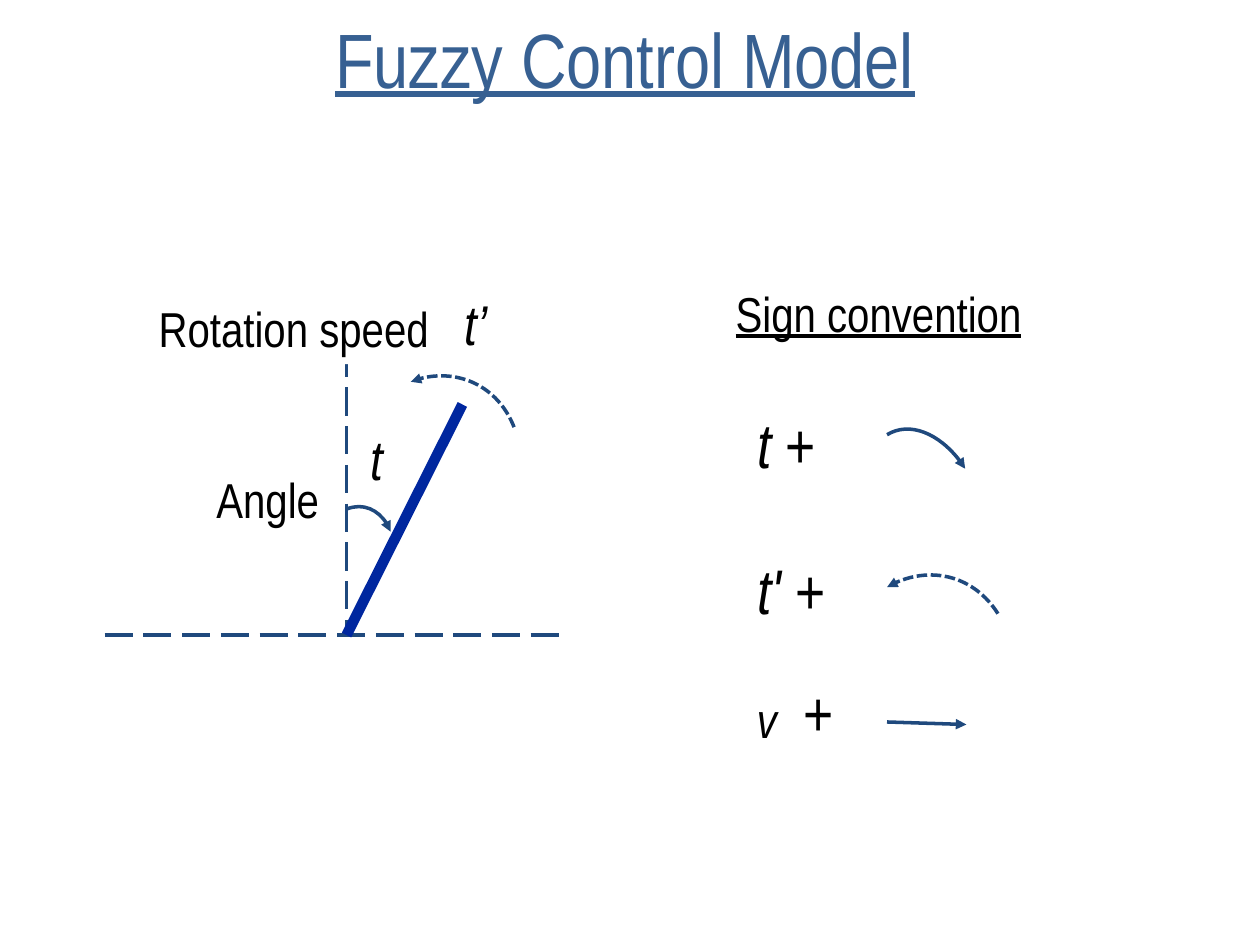
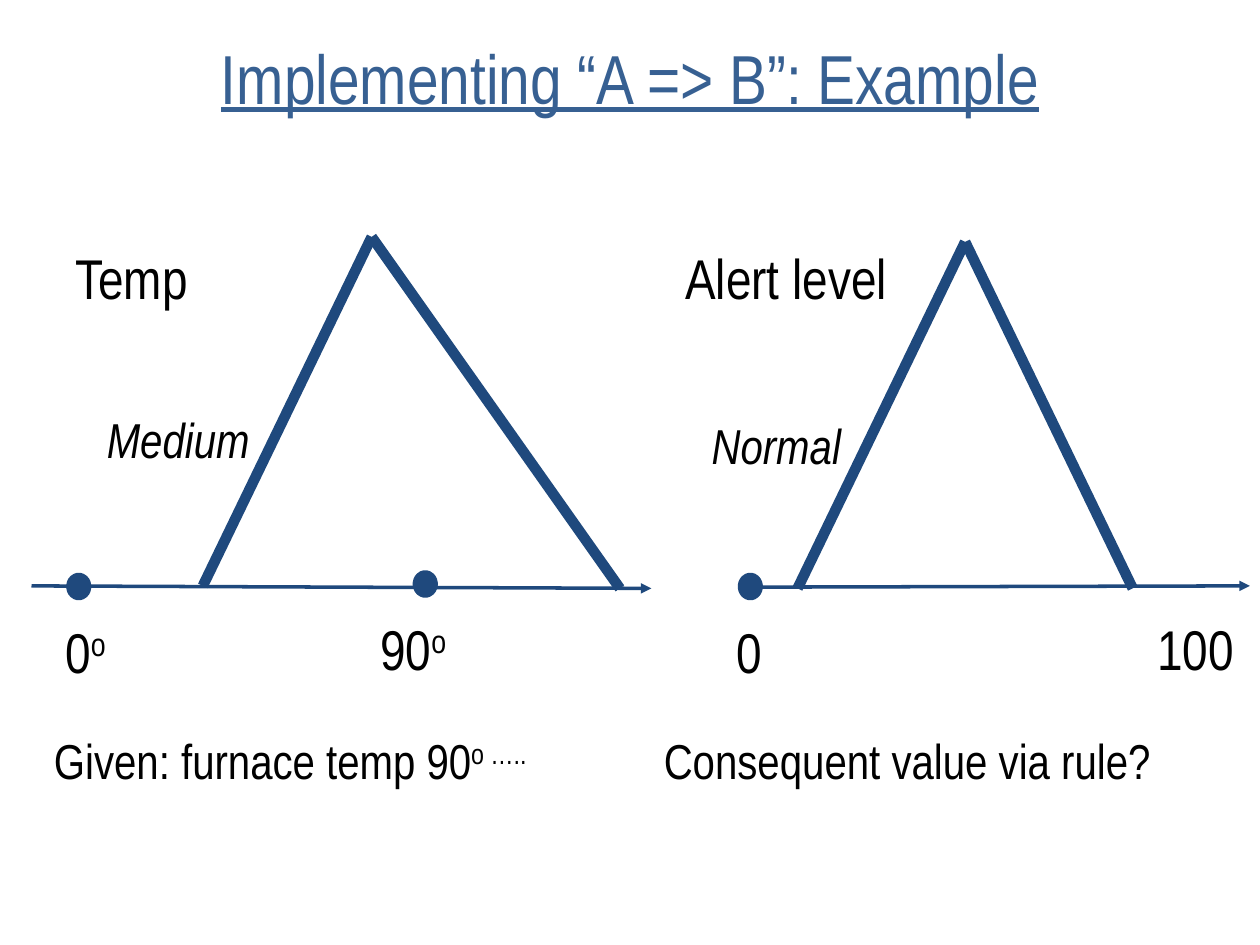
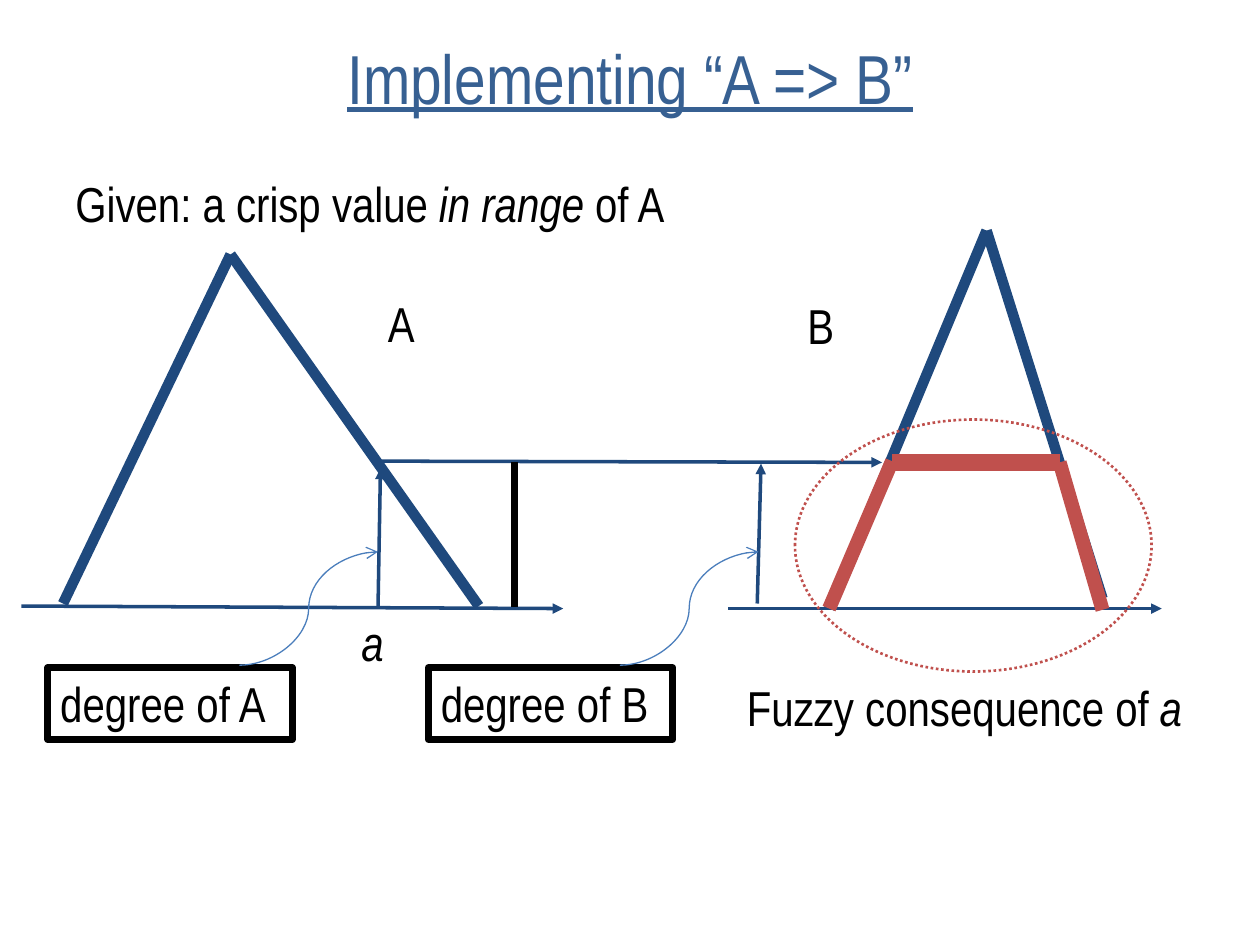
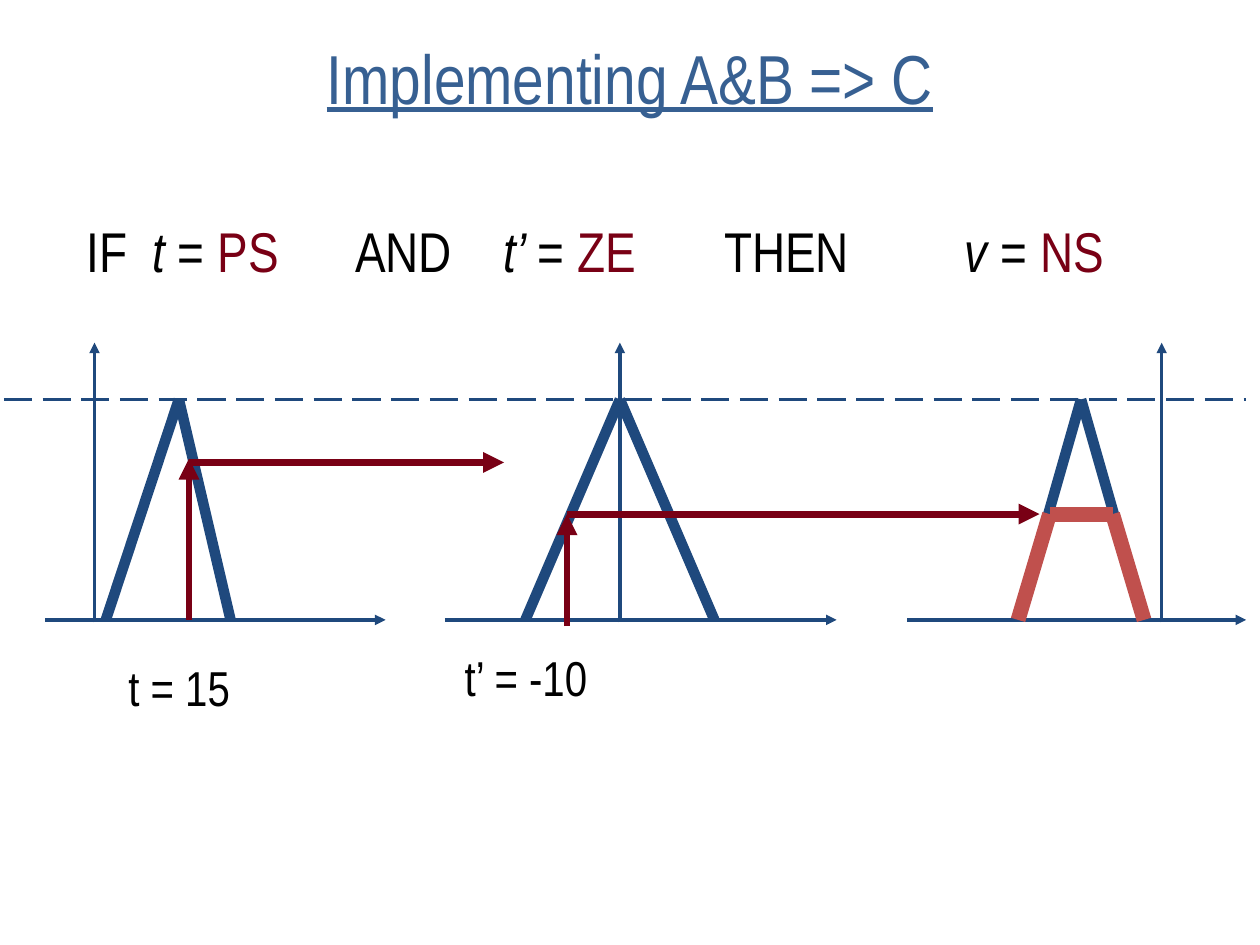
"""Build four slides on fuzzy control and on implementing fuzzy rules."""
import pptx
import pptx.dml.color
import pptx.enum.dml
import pptx.enum.shapes
import pptx.enum.text
import pptx.oxml.ns
import pptx.util
from lxml import etree

Inches = pptx.util.Inches
color = pptx.dml.color.RGBColor.from_string
Align = pptx.enum.text.PP_ALIGN
Dash = pptx.enum.dml.MSO_LINE
Shape = pptx.enum.shapes.MSO_SHAPE
Link = pptx.enum.shapes.MSO_CONNECTOR
qn = pptx.oxml.ns.qn

FONT = "Arial Narrow"
TITLE_BLUE, NAVY, ROD_BLUE, LINK_BLUE = "376092", "1F497D", "00279F", "4B7EBC"
RED, MAROON, BLACK, WHITE = "C0504D", "790015", "000000", "FFFFFF"

AXIS = {"color": NAVY, "width": 2, "tip": "triangle"}
DASHED = {"color": NAVY, "width": 2, "dash": Dash.LONG_DASH}
SPEED = {"color": NAVY, "width": 2, "dash": Dash.SQUARE_DOT, "tip": "triangle"}
EDGE = {"color": NAVY, "width": 6}
ROD = {"color": ROD_BLUE, "width": 6}
CUT = {"color": RED, "width": 8}
CUT_TOP = {"color": RED, "width": 10}
RESULT = {"color": RED, "width": 8.5}
READING = {"color": MAROON, "width": 4, "tip": "triangle"}
FRAME = {"color": BLACK, "width": 4}
POINTER = {"color": LINK_BLUE, "width": 0.75, "tip": "arrow"}
HALO = {"color": RED, "width": 1.5, "dash": Dash.ROUND_DOT}
DOT = {"color": NAVY, "width": 8}

ITALIC = {"italic": True}
UNDERLINE = {"underline": True}
RAISED = {"baseline": "30000"}
TERM = {"color": MAROON}


def style_outline(shape, look):
    """Give a shape or connector its line, arrow tip and no shadow."""
    shape.line.color.rgb = color(look["color"])
    shape.line.width = pptx.util.Pt(look["width"])
    if "dash" in look:
        shape.line.dash_style = look["dash"]
    properties = shape._element.spPr
    if "tip" in look:
        etree.SubElement(properties.find(qn("a:ln")), qn("a:tailEnd"), type=look["tip"])
    etree.SubElement(properties, qn("a:effectLst"))


def write(shape, size, spans, align=Align.LEFT, ink=BLACK):
    """Fill a shape with one paragraph made of (text, format) spans."""
    frame = shape.text_frame
    frame.word_wrap = True
    frame.vertical_anchor = pptx.enum.text.MSO_ANCHOR.TOP
    para = frame.paragraphs[0]
    para.alignment = align
    for text, changes in spans:
        span = para.add_run()
        span.text = text
        values = {"name": FONT, "size": pptx.util.Pt(size), "color": ink, **changes}
        span.font.color.rgb = color(values.pop("color"))
        if "baseline" in values:
            span._r.get_or_add_rPr().set("baseline", values.pop("baseline"))
        for name, value in values.items():
            setattr(span.font, name, value)
    return para


deck = pptx.Presentation()
deck.slide_width, deck.slide_height = Inches(10), Inches(7.5)

pages = []
for title, size, place in [
    ("Fuzzy Control Model", 44, (0, 0, 9.92, 0.92)),
    ("Implementing “A => B”: Example", 39.6, (0.5, 0.3, 9, 0.62)),
    ("Implementing “A => B”", 39.6, (0.5, 0.3, 9, 0.62)),
    ("Implementing A&B => C", 39.6, (0.5, 0.3, 9, 0.62)),
]:
    page = deck.slides.add_slide(deck.slide_layouts[6])
    box = page.shapes.add_textbox(*map(Inches, place))
    write(box, size, [(title, UNDERLINE)], Align.CENTER, TITLE_BLUE)
    box.text_frame.vertical_anchor = pptx.enum.text.MSO_ANCHOR.MIDDLE
    pages.append(page)
model, example, rule, conjunction = pages

routes = [
    (model, DASHED, [(2.75, 2.46), (2.75, 5.01)]),
    (model, DASHED, [(0.83, 5.04), (4.49, 5.04)]),
    (model, ROD, [(2.75, 5.04), (3.67, 3.21)]),
    (model, AXIS, [(7.04, 5.73), (7.67, 5.75)]),
    (example, AXIS, [(0.25, 4.65), (5.17, 4.67)]),
    (example, AXIS, [(5.97, 4.66), (9.92, 4.65)]),
    (example, EDGE, [(1.61, 4.65), (2.95, 1.88), (4.92, 4.67)]),
    (example, EDGE, [(6.33, 4.67), (7.66, 1.92), (8.99, 4.67)]),
    (rule, AXIS, [(0.17, 4.81), (4.47, 4.83)]),
    (rule, AXIS, [(5.78, 4.83), (9.22, 4.83)]),
    (rule, EDGE, [(6.58, 4.83), (7.83, 1.83), (8.75, 4.75)]),
    (rule, AXIS, [(3, 4.83), (3.02, 3.72)]),
    (rule, AXIS, [(3.03, 3.66), (7, 3.67)]),
    (rule, CUT, [(6.58, 4.83), (7.08, 3.66)]),
    (rule, CUT_TOP, [(7.08, 3.67), (8.41, 3.67)]),
    (rule, CUT, [(8.41, 3.67), (8.75, 4.84)]),
    (rule, FRAME, [(4.08, 3.67), (4.08, 4.82)]),
    (rule, EDGE, [(0.5, 4.79), (1.83, 2.02), (3.8, 4.81)]),
    (rule, AXIS, [(6.01, 4.79), (6.04, 3.68)]),
]
for left, right, upright in [(0.36, 3.06, 0.75), (3.53, 6.64, 4.92), (7.2, 9.89, 9.22)]:
    routes.append((conjunction, AXIS, [(left, 4.92), (right, 4.92)]))
    routes.append((conjunction, AXIS, [(upright, 4.94), (upright, 2.72)]))
routes.append((conjunction, DASHED, [(0.03, 3.17), (9.89, 3.17)]))
for left, peak, right in [(0.84, 1.42, 1.83), (4.17, 4.92, 5.67), (8.08, 8.58, 9.08)]:
    routes.append((conjunction, EDGE, [(left, 4.92), (peak, 3.17), (right, 4.92)]))
routes += [
    (conjunction, READING, [(1.5, 4.92), (1.5, 3.64)]),
    (conjunction, READING, [(1.5, 3.67), (4, 3.67)]),
    (conjunction, READING, [(4.5, 4.97), (4.5, 4.08)]),
    (conjunction, READING, [(4.5, 4.08), (8.25, 4.08)]),
    (conjunction, RESULT, [(8.08, 4.92), (8.33, 4.08), (8.83, 4.08), (9.08, 4.92)]),
]
for page, look, points in routes:
    for start, end in zip(points, points[1:]):
        line = page.shapes.add_connector(Link.STRAIGHT, *map(Inches, start + end))
        style_outline(line, look)

for look, start, *bends in [
    (AXIS, (2.75, 4.04), (2.89, 3.99), (3.05, 4.07), (3.1, 4.22)),
    (SPEED, (4.08, 3.39), (3.95, 3.06), (3.58, 2.9), (3.26, 3.03)),
    (SPEED, (7.92, 4.87), (7.73, 4.57), (7.34, 4.48), (7.04, 4.66)),
    (AXIS, (7.04, 3.45), (7.22, 3.34), (7.5, 3.46), (7.66, 3.72)),
]:
    builder = model.shapes.build_freeform(*map(Inches, start))
    builder.add_line_segments([tuple(map(Inches, bend)) for bend in bends], close=False)
    arc = builder.convert_to_shape()
    arc.fill.background()
    style_outline(arc, look)
    outline = arc._element.spPr.find(".//" + qn("a:path"))
    curve = etree.SubElement(outline, qn("a:cubicBezTo"))
    for segment in outline.findall(qn("a:lnTo")):
        curve.append(segment[0])
        outline.remove(segment)

for page, look, place in [
    (example, DOT, (0.58, 4.6, 0.09, 0.11)),
    (example, DOT, (3.33, 4.58, 0.09, 0.11)),
    (example, DOT, (5.91, 4.6, 0.09, 0.11)),
    (rule, HALO, (6.31, 3.33, 2.83, 2)),
]:
    oval = page.shapes.add_shape(Shape.OVAL, *map(Inches, place))
    oval.fill.background()
    style_outline(oval, look)

for left, name in [(0.38, "A"), (3.4, "B")]:
    box = rule.shapes.add_shape(Shape.RECTANGLE, *map(Inches, (left, 5.3, 1.94, 0.57)))
    box.fill.background()
    style_outline(box, FRAME)
    write(box, 28, [("degree of " + name, {})])
    ends = (left + 1.52, 5.28, left + 2.62, 4.38)
    pointer = rule.shapes.add_connector(Link.CURVE, *map(Inches, ends))
    style_outline(pointer, POINTER)

speed_label = model.shapes.add_shape(Shape.RECTANGLE, *map(Inches, (1, 2.32, 2.5, 0.57)))
speed_label.fill.solid()
speed_label.fill.fore_color.rgb = color(WHITE)
speed_label.line.fill.background()
speed_label.shadow.inherit = False
write(speed_label, 28, [("Rotation speed", {})], Align.RIGHT)

for page, place, size, spans in [
    (model, (2.84, 3.32, 0.41, 0.64), 32, [("t", ITALIC)]),
    (model, (3.59, 2.25, 0.66, 0.64), 32, [("t’", ITALIC)]),
    (model, (5.74, 2.2, 2.5, 0.57), 28, [("Sign convention", UNDERLINE)]),
    (model, (5.91, 3.17, 1.08, 0.76), 36, [("t ", ITALIC), ("+", {})]),
    (model, (5.91, 4.33, 1.08, 0.76), 36, [("t' ", ITALIC), ("+", {})]),
    (model, (5.91, 5.42, 0.5, 0.57), 28, [("v", ITALIC)]),
    (model, (6.28, 5.3, 0.58, 0.7), 36, [("+", {})]),
    (example, (0.5, 1.88, 1.85, 0.64), 32, [("Temp", {})]),
    (example, (5.34, 1.88, 1.91, 0.64), 32, [("Alert level", {})]),
    (example, (0.75, 3.2, 1.4, 0.57), 28, [("Medium", ITALIC)]),
    (example, (5.55, 3.25, 1.3, 0.57), 28, [("Normal", ITALIC)]),
    (example, (0.42, 4.85, 2, 0.64), 32, [("0", {}), ("o", RAISED)]),
    (example, (2.92, 4.83, 2, 0.64), 32, [("90", {}), ("o", RAISED)]),
    (example, (5.75, 4.85, 2, 0.64), 32, [("0", {})]),
    (example, (0.33, 5.75, 5.33, 0.56), 28, [("Given: furnace temp 90", {}), ("o …..", RAISED)]),
    (example, (5.17, 5.75, 4.75, 0.56), 28, [("Consequent value via rule?", {})]),
    (rule, (0.5, 1.33, 5.08, 0.57), 28,
     [("Given: a crisp value", {}), (" in range ", ITALIC), ("of A", {})]),
    (rule, (2.98, 2.28, 0.58, 0.57), 28, [("A", {})]),
    (rule, (6.31, 2.3, 0.66, 0.57), 28, [("B", {})]),
    (rule, (2.77, 4.81, 0.58, 0.57), 28, [("a", ITALIC)]),
    (rule, (5.83, 5.33, 3.75, 0.57), 28, [("Fuzzy consequence of ", {}), ("a", ITALIC)]),
    (conjunction, (0.92, 5.17, 1.5, 0.56), 28, [("t = 15", {})]),
    (conjunction, (3.59, 5.09, 1.5, 0.56), 28, [("t’ = -10", {})]),
]:
    write(page.shapes.add_textbox(*map(Inches, place)), size, spans)

for page, place, size, text in [
    (model, (0.13, 3.68, 2.5, 0.57), 28, "Angle"),
    (example, (7.89, 4.83, 2, 0.64), 32, "100"),
]:
    write(page.shapes.add_textbox(*map(Inches, place)), size, [(text, {})], Align.RIGHT)

clauses = []
for keyword, variable, term in [("IF", "t", "PS"), ("\tAND", "t’", "ZE"), ("\tTHEN", "v", "NS")]:
    clauses += [(keyword, {}), ("\t" + variable + " ", ITALIC), ("= ", {}), (term, TERM)]
box = conjunction.shapes.add_textbox(*map(Inches, (0.59, 1.67, 8.33, 0.64)))
para = write(box, 32, clauses)
stops = etree.SubElement(para._p.get_or_add_pPr(), qn("a:tabLst"))
for position in [0.52, 2.13, 3.31, 5.06, 6.97]:
    etree.SubElement(stops, qn("a:tab"), pos=str(Inches(position)), algn="l")

deck.save("out.pptx")
